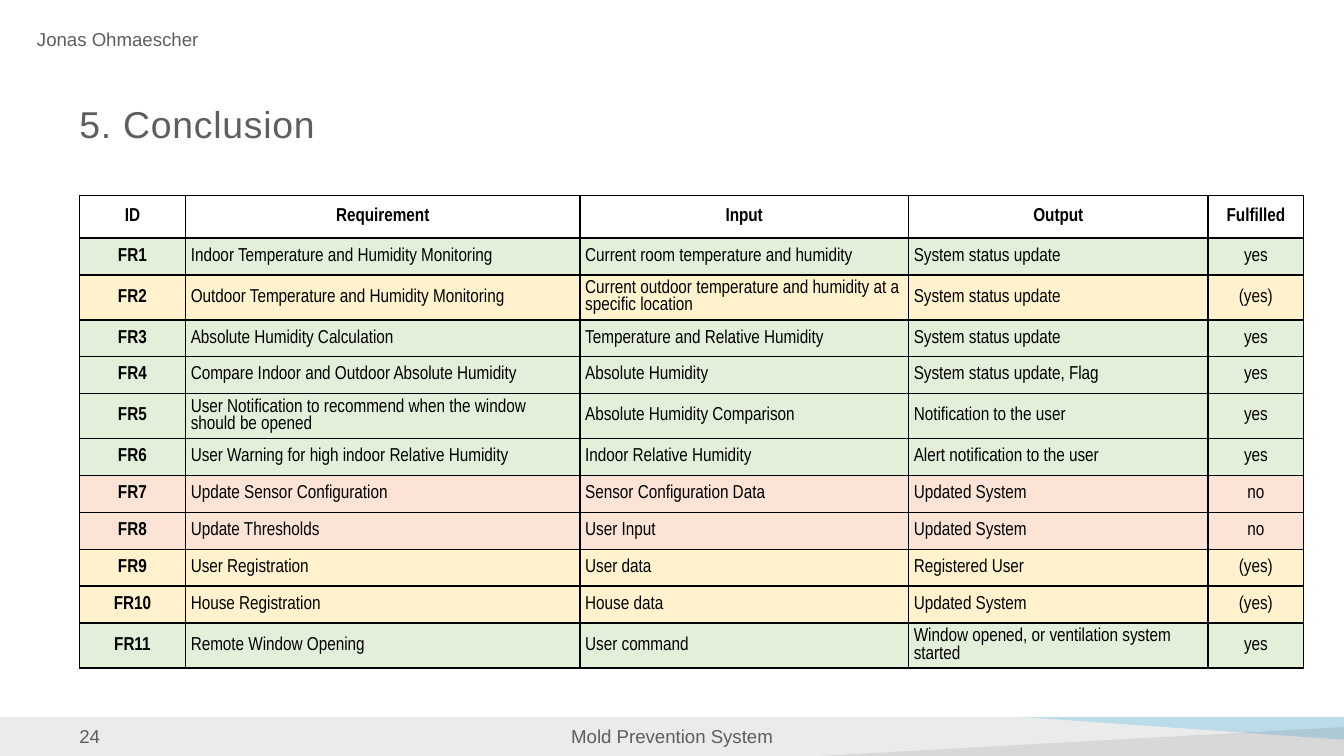
from lxml.etree import SubElement
from pptx import Presentation
from pptx.dml.color import RGBColor
from pptx.enum.shapes import MSO_SHAPE
from pptx.enum.text import MSO_ANCHOR, MSO_AUTO_SIZE, PP_ALIGN
from pptx.oxml import parse_xml
from pptx.oxml.ns import nsdecls, qn
from pptx.util import Emu, Pt

PX_PER_INCH = 200
SLIDE_W, SLIDE_H = 2000, 1125
GREY, BLACK, WHITE, BLUE = "5E5E5D", "000000", "FFFFFF", "009EE3"
STATUS_FILLS = {"yes": "E2EFD9", "(yes)": "FFF2CC", "no": "FBE4D5"}

HEADER = ("ID", "Requirement", "Input", "Output", "Fulfilled")
REQUIREMENTS = [
    ("Indoor Temperature and Humidity Monitoring",
     "Current room temperature and humidity", "System status update", "yes"),
    ("Outdoor Temperature and Humidity Monitoring",
     "Current outdoor temperature and humidity at a specific location",
     "System status update", "(yes)"),
    ("Absolute Humidity Calculation",
     "Temperature and Relative Humidity", "System status update", "yes"),
    ("Compare Indoor and Outdoor Absolute Humidity",
     "Absolute Humidity", "System status update, Flag", "yes"),
    ("User Notification to recommend when the window should be opened",
     "Absolute Humidity Comparison", "Notification to the user", "yes"),
    ("User Warning for high indoor Relative Humidity",
     "Indoor Relative Humidity", "Alert notification to the user", "yes"),
    ("Update Sensor Configuration",
     "Sensor Configuration Data", "Updated System", "no"),
    ("Update Thresholds", "User Input", "Updated System", "no"),
    ("User Registration", "User data", "Registered User", "(yes)"),
    ("House Registration", "House data", "Updated System", "(yes)"),
    ("Remote Window Opening", "User command",
     "Window opened, or ventilation system started", "yes"),
]
COLUMN_WIDTHS = (158, 587, 489, 446, 142)
ROW_H, TALL_ROW_H = 55, 63
TALL_ROWS = {0, 2, 5, 11}  # header and rows with two lines of text


def px(length):
    return Emu(length * 914400 // PX_PER_INCH)


def color(hex_string):
    return RGBColor.from_string(hex_string)


def apply(target, values):
    for key, value in values.items():
        setattr(target, key, value)


def format_font(paragraph, name, size, hex_string, bold=False):
    apply(paragraph.font, {"name": name, "size": Pt(size), "bold": bold})
    paragraph.font.color.rgb = color(hex_string)


def format_frame(frame, anchor, auto_size):
    apply(frame, {"margin_left": 0, "margin_right": 0, "margin_top": 0,
                  "margin_bottom": 0, "word_wrap": True,
                  "vertical_anchor": anchor, "auto_size": auto_size})


def add_label(slide, text, box, align=PP_ALIGN.LEFT):
    frame = slide.shapes.add_textbox(*map(px, box)).text_frame
    format_frame(frame, MSO_ANCHOR.TOP, MSO_AUTO_SIZE.SHAPE_TO_FIT_TEXT)
    paragraph = frame.paragraphs[0]
    paragraph.text = text
    paragraph.alignment = align
    format_font(paragraph, "Arial", 10, GREY)


def add_tint(slide, preset, box, hex_string, opacity, flips=()):
    tint = slide.shapes.add_shape(preset, *map(px, box))
    tint.shadow.inherit = False
    tint.line.fill.background()
    tint.fill.solid()
    tint.fill.fore_color.rgb = color(hex_string)
    properties = tint._element.spPr
    rgb = properties.find(qn("a:solidFill")).find(qn("a:srgbClr"))
    SubElement(rgb, qn("a:alpha")).set("val", str(opacity * 1000))
    for flip in flips:
        properties.find(qn("a:xfrm")).set(flip, "1")


def add_footer(slide, box):
    left, top, width, height = box
    right = left + width
    # Grey band with two wedges on its right
    add_tint(slide, MSO_SHAPE.RECTANGLE, box, BLACK, 8)
    add_tint(slide, MSO_SHAPE.RIGHT_TRIANGLE, (right - 480, top, 480, 34),
             BLUE, 20, ("flipH", "flipV"))
    add_tint(slide, MSO_SHAPE.RIGHT_TRIANGLE,
             (right - 780, top + 15, 780, height - 15), BLACK, 8, ("flipH",))
    # Slide number and talk name
    add_label(slide, "24", (left + 118, top + 12, 160, 34))
    add_label(slide, "Mold Prevention System",
              (left + (width - 480) // 2, top + 11, 480, 34), PP_ALIGN.CENTER)


def place_title(slide, box):
    title = slide.shapes.title
    apply(title, dict(zip(("left", "top", "width", "height"), map(px, box))))
    format_frame(title.text_frame, MSO_ANCHOR.BOTTOM, MSO_AUTO_SIZE.NONE)
    paragraph = title.text_frame.paragraphs[0]
    run = paragraph.add_run()
    run.text = "5. Conclusion"
    apply(paragraph, {"alignment": PP_ALIGN.LEFT, "line_spacing": Pt(23)})
    format_font(paragraph, "Arial", 20, GREY)
    run.font._element.set("spc", "40")


def add_borders(cell):
    properties = cell._tc.get_or_add_tcPr()
    for index, side in enumerate(("lnL", "lnR", "lnT", "lnB")):
        properties.insert(index, parse_xml(
            f'<a:{side} {nsdecls("a")} w="12700"><a:solidFill>'
            f'<a:srgbClr val="{BLACK}"/></a:solidFill></a:{side}>'))


def fill_cell(cell, text, fill, centered, bold):
    apply(cell, {"margin_left": px(8), "margin_right": px(8), "margin_top": 0,
                 "margin_bottom": 0, "vertical_anchor": MSO_ANCHOR.MIDDLE})
    cell.fill.solid()
    cell.fill.fore_color.rgb = color(fill)
    add_borders(cell)
    paragraph = cell.text_frame.paragraphs[0]
    paragraph.text = text
    apply(paragraph, {"alignment": PP_ALIGN.CENTER if centered else PP_ALIGN.LEFT,
                      "space_after": Pt(6)})
    format_font(paragraph, "Arial Narrow", 10, BLACK, bold)


def add_requirements(slide, left, top):
    rows = [HEADER] + [(f"FR{number}", *requirement)
                       for number, requirement in enumerate(REQUIREMENTS, 1)]
    heights = [TALL_ROW_H if r in TALL_ROWS else ROW_H for r in range(len(rows))]
    table = slide.shapes.add_table(
        len(rows), len(HEADER), px(left), px(top),
        px(sum(COLUMN_WIDTHS)), px(sum(heights))).table
    apply(table, {"first_row": False, "horz_banding": False})
    for column, width in zip(table.columns, COLUMN_WIDTHS):
        column.width = px(width)
    for r, (row, height) in enumerate(zip(rows, heights)):
        table.rows[r].height = px(height)
        fill = STATUS_FILLS.get(row[-1], WHITE)
        for c, text in enumerate(row):
            centered = r == 0 or c in (0, len(HEADER) - 1)
            fill_cell(table.cell(r, c), text, fill, centered, r == 0 or c == 0)


def main():
    presentation = Presentation()
    apply(presentation, {"slide_width": px(SLIDE_W), "slide_height": px(SLIDE_H)})
    slide = presentation.slides.add_slide(presentation.slide_layouts[5])
    add_footer(slide, (0, 1067, SLIDE_W, SLIDE_H - 1067))
    add_label(slide, "Jonas Ohmaescher", (55, 42, 256, 34))
    place_title(slide, (118, 146, 1764, 72))
    add_requirements(slide, 118, 291)
    presentation.save("out.pptx")


if __name__ == "__main__":
    main()
